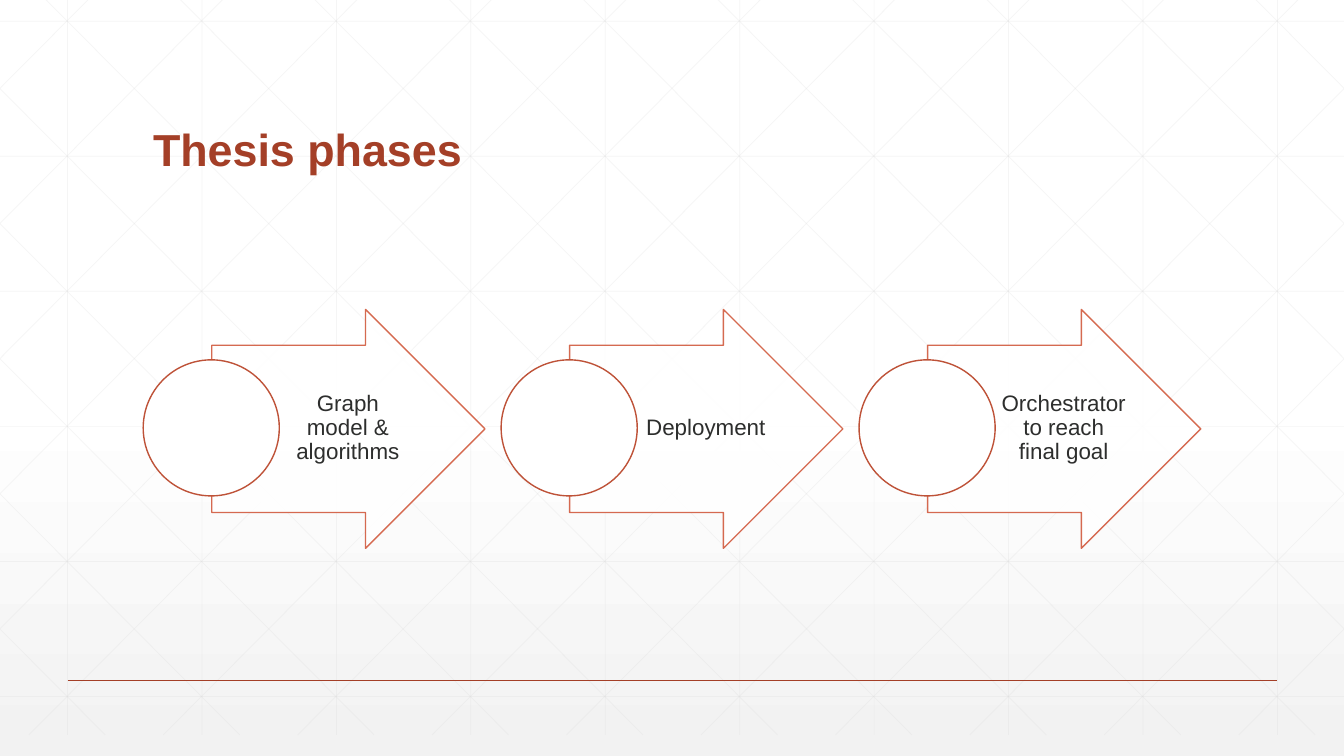
"""Build the thesis phases slide."""
from pptx import Presentation
from pptx import util as u
from pptx.dml.color import RGBColor
from pptx.enum import shapes, text
from pptx.oxml import ns
from lxml import etree
import copy

WIDTH, HEIGHT = 13.33, 7.5
GRID_TOP, GRID_BOTTOM = -0.21, 7.29
STEP = 4 / 3
PHASE_STEP = 3.55
PHASES = ["Graph model & algorithms", "Deployment", "Orchestrator to reach final goal"]


def colour(value):
    """Turn a hex string into a colour."""
    return RGBColor.from_string(value)


def set_alpha(fill_owner, percent):
    """Set the opacity of the last solid colour in an element."""
    solid = fill_owner.findall(".//" + ns.qn("a:srgbClr"))[-1]
    etree.SubElement(solid, ns.qn("a:alpha")).set("val", str(percent * 1000))


def paint_background(page):
    """Fill the page with a vertical fade from white to light grey."""
    fill = page.background.fill
    fill.gradient()
    fill.gradient_angle = 270
    stop_list = page.element.find(".//" + ns.qn("a:gsLst"))
    stop_list.append(copy.deepcopy(stop_list[-1]))
    fades = [(0, "FFFFFF"), (0.53, "FFFFFF"), (1, "F2F2F2")]
    for stop, (position, value) in zip(fill.gradient_stops, fades):
        stop.position = position
        stop.color.rgb = colour(value)


def add_line(page, start, end, value, width, opacity=100):
    """Draw a straight line between two points."""
    points = [u.Inches(length) for length in (*start, *end)]
    line = page.shapes.add_connector(shapes.MSO_CONNECTOR.STRAIGHT, *points)
    line.line.color.rgb = colour(value)
    line.line.width = u.Pt(width)
    properties = line.element.spPr
    if opacity < 100:
        set_alpha(properties, opacity)
    etree.SubElement(properties, ns.qn("a:effectLst"))


def add_grid(page):
    """Draw the faint square and diagonal grid."""
    faint = {"value": "D9D9D9", "width": 0.5, "opacity": 25}
    for column in range(10):
        x = 0.67 + column * STEP
        add_line(page, (x, GRID_TOP), (x, GRID_BOTTOM), **faint)
    for row in range(6):
        y = 0.21 + row * 1.34
        add_line(page, (0, y), (WIDTH, y), **faint)
    slope = (GRID_BOTTOM - GRID_TOP) / 7.46
    for index in range(-5, 10):
        top_x = 0.25 + index * STEP
        left, right = max(top_x, 0), min(top_x + 7.46, WIDTH)
        upper, lower = (GRID_TOP + (x - top_x) * slope for x in (left, right))
        add_line(page, (left, upper), (right, lower), **faint)
        add_line(page, (WIDTH - left, upper), (WIDTH - right, lower), **faint)


def add_text(page, box, words, *, size, value, bold=False, anchor="MIDDLE",
             align="LEFT", insets=(0.1, 0.05, 0.1, 0.05)):
    """Place one paragraph of text in a box."""
    frame = page.shapes.add_textbox(*map(u.Inches, box)).text_frame
    frame.word_wrap = True
    frame.vertical_anchor = text.MSO_ANCHOR[anchor]
    (frame.margin_left, frame.margin_top,
     frame.margin_right, frame.margin_bottom) = map(u.Inches, insets)
    para = frame.paragraphs[0]
    para.alignment = text.PP_ALIGN[align]
    para.line_spacing = 0.9
    span = para.add_run()
    span.text = words
    span.font.name = "Arial"
    span.font.size = u.Pt(size)
    span.font.bold = bold
    span.font.color.rgb = colour(value)


def add_outlined(page, kind, box, value, fill_opacity=100, line_opacity=100):
    """Draw a white preset shape with a thin coloured outline."""
    shape = page.shapes.add_shape(shapes.MSO_SHAPE[kind], *map(u.Inches, box))
    shape.shadow.inherit = False
    shape.fill.solid()
    shape.fill.fore_color.rgb = colour("FFFFFF")
    if fill_opacity < 100:
        set_alpha(shape.element.spPr, fill_opacity)
    shape.line.color.rgb = colour(value)
    shape.line.width = u.Pt(1)
    if line_opacity < 100:
        set_alpha(shape.element.spPr, line_opacity)
    return shape


def add_phase(page, left, words):
    """Draw one phase as an arrow, its label and a circle."""
    arrow = add_outlined(page, "RIGHT_ARROW", (left + 0.68, 3.07, 2.71, 2.37),
                         "D15A3E", fill_opacity=90, line_opacity=90)
    arrow.adjustments[0] = 0.7
    arrow.adjustments[1] = 0.5
    add_text(page, (left + 1.36, 3.42, 1.32, 1.66), words, size=16, value="2D2E2D",
             align="CENTER", insets=(0.04, 0.01, 0.02, 0.01))
    add_outlined(page, "OVAL", (left, 3.57, 1.35, 1.35), "BE5238")


def main():
    """Build and save the deck."""
    deck = Presentation()
    deck.slide_width, deck.slide_height = u.Inches(WIDTH), u.Inches(HEIGHT)
    page = deck.slides.add_slide(deck.slide_layouts[6])
    paint_background(page)
    add_grid(page)
    add_line(page, (0.67, 6.75), (12.67, 6.75), "A43F27", 1)
    add_text(page, (1.42, 0.55, 10.5, 1.25), "Thesis phases", size=32,
             value="A43F27", bold=True, anchor="BOTTOM")
    for index, words in enumerate(PHASES):
        add_phase(page, 1.42 + index * PHASE_STEP, words)
    deck.save("out.pptx")


if __name__ == "__main__":
    main()
